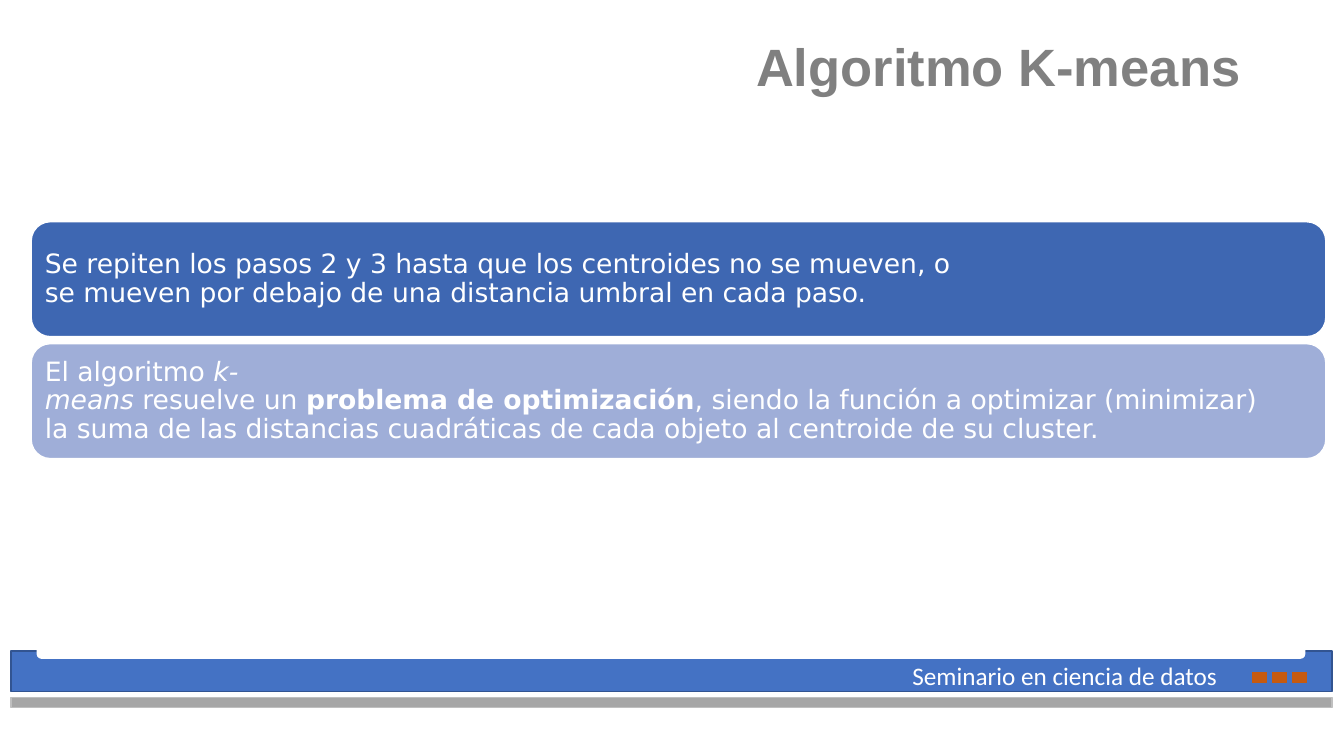
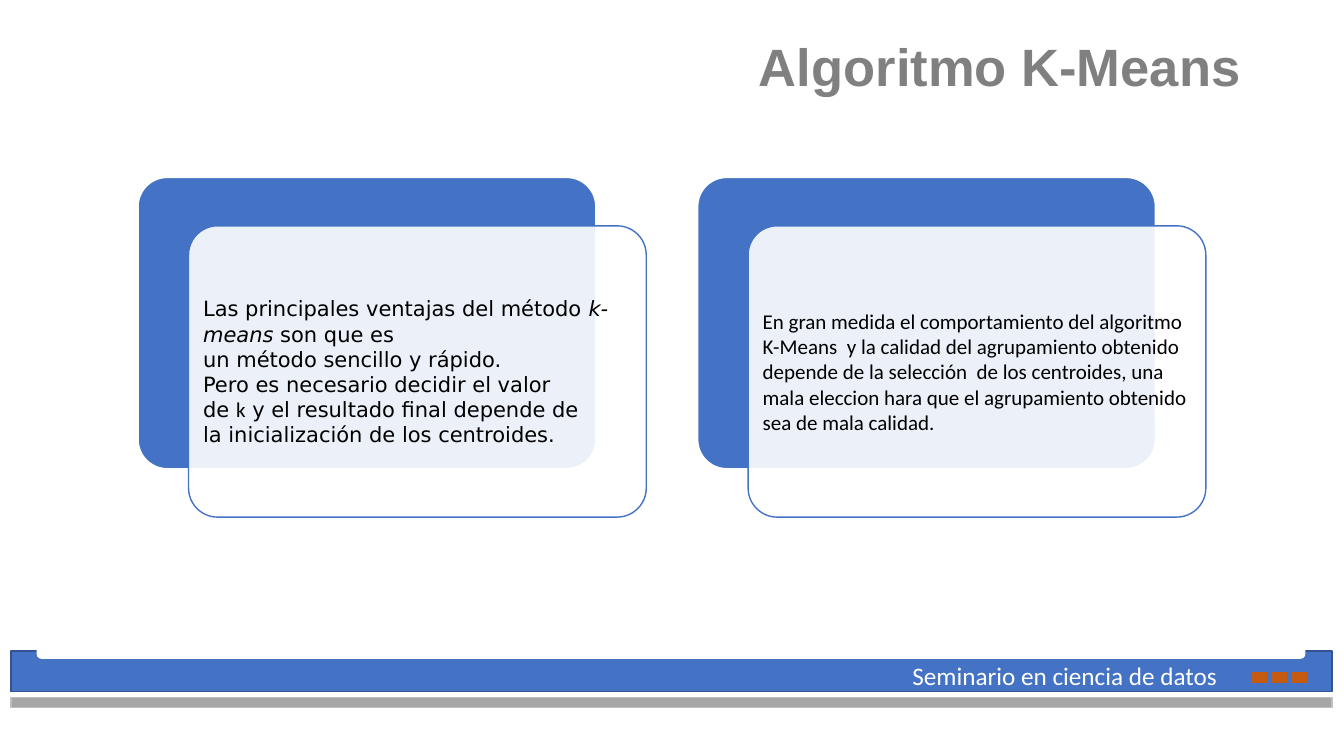
import pptx
import pptx.util
import pptx.dml.color
import pptx.enum.shapes
import pptx.enum.text
import pptx.oxml.ns
from lxml import etree

Inches = pptx.util.Inches
Pt = pptx.util.Pt
SHAPE = pptx.enum.shapes.MSO_SHAPE
ALIGN = pptx.enum.text.PP_ALIGN
ANCHOR = pptx.enum.text.MSO_ANCHOR

COLORS = {
    "white": "FFFFFF",
    "black": "000000",
    "title": "808080",
    "blue": "4472C4",
    "blue_edge": "325491",
    "deep_blue": "3E67B2",
    "pale_blue": "9FAED8",
    "gray": "A6A6A6",
    "gray_edge": "BFBFBF",
    "orange": "C55A11",
}
BODY_FONT = "DejaVu Sans"
PLAIN_FONT = "Calibri"
NBSP = chr(160)


def rgb(name):
    return pptx.dml.color.RGBColor.from_string(COLORS[name])


def add_run(p, text, size, color, font=BODY_FONT, bold=False, italic=False):
    r = p.add_run()
    r.text = text.replace("~", NBSP)
    r.font.name = font
    r.font.size = Pt(size)
    r.font.bold = bold
    r.font.italic = italic
    r.font.color.rgb = rgb(color)


def add_box(s, kind, left, top, width, height, fill, line, radius=None):
    sp = s.shapes.add_shape(kind, Inches(left), Inches(top), Inches(width), Inches(height))
    sp.shadow.inherit = False
    sp.fill.solid()
    sp.fill.fore_color.rgb = rgb(fill)
    sp.line.color.rgb = rgb(line)
    sp.line.width = Pt(1)
    if radius is not None:
        sp.adjustments[0] = radius
    return sp


def set_opacity(sp, percent):
    color = sp.fill._xPr.find(".//" + pptx.oxml.ns.qn("a:srgbClr"))
    etree.SubElement(color, pptx.oxml.ns.qn("a:alpha"), val=str(percent * 1000))


def fill_text(sp, runs, size, color, inset, spacing=1.0):
    tf = sp.text_frame
    tf.word_wrap = True
    tf.vertical_anchor = ANCHOR.MIDDLE
    tf.margin_left = tf.margin_right = Inches(inset)
    tf.margin_top = tf.margin_bottom = Inches(inset)
    p = tf.paragraphs[0]
    p.alignment = ALIGN.LEFT
    p.line_spacing = spacing
    for text, style in runs:
        add_run(p, text, size, color, **style)


def add_title(s, text):
    sp = s.shapes.title
    sp.left, sp.top = Inches(1.41), Inches(0.4)
    sp.width, sp.height = Inches(11), Inches(0.6)
    tf = sp.text_frame
    tf.auto_size = pptx.enum.text.MSO_AUTO_SIZE.NONE
    tf.vertical_anchor = ANCHOR.BOTTOM
    p = tf.paragraphs[0]
    p.alignment = ALIGN.RIGHT
    p.line_spacing = 0.7
    add_run(p, text, 37.5, "title", "Arial", bold=True)


def add_footer(s):
    add_box(s, SHAPE.RECTANGLE, 0.11, 6.46, 13.1, 0.4, "blue", "blue_edge")
    add_box(s, SHAPE.ROUNDED_RECTANGLE, 0.37, 6.27, 12.57, 0.26, "white", "white")
    add_box(s, SHAPE.RECTANGLE, 0.11, 6.92, 13.1, 0.1, "gray", "gray_edge")
    for i in range(3):
        add_box(s, SHAPE.RECTANGLE, 12.42 + 0.2 * i, 6.67, 0.14, 0.1, "orange", "orange")
    label = s.shapes.add_textbox(Inches(8.95), Inches(6.5), Inches(3.45), Inches(0.4))
    label.text_frame.word_wrap = True
    add_run(label.text_frame.paragraphs[0], "Seminario en ciencia de datos", 18, "white", PLAIN_FONT)


def add_slide(prs, title):
    s = prs.slides.add_slide(prs.slide_layouts[5])
    add_title(s, title)
    add_footer(s)
    return s


def add_bar(s, index, fill, runs):
    sp = add_box(s, SHAPE.ROUNDED_RECTANGLE, 0.31, 2.2 + 1.21 * index, 12.84, 1.14, fill, "white")
    fill_text(sp, runs, 19, "white", 0.08, spacing=0.9)


def add_card(s, index, runs):
    left, top, width, height = 1.37 + 5.55 * index, 1.76, 4.54, 2.89
    add_box(s, SHAPE.ROUNDED_RECTANGLE, left, top, width, height, "blue", "white", 0.1)
    front = add_box(s, SHAPE.ROUNDED_RECTANGLE, left + 0.5, top + 0.48, width, height,
                    "white", "blue", 0.1)
    set_opacity(front, 90)
    fill_text(front, runs, 15, "black", 0.06)


def build_steps(prs):
    s = add_slide(prs, "Algoritmo K-means")
    add_bar(s, 0, "deep_blue", [
        ("Se~repiten~los~pasos 2 y 3 hasta que~los~centroides~no se~mueven, o "
         "se~mueven~por~debajo~de~una~distancia~umbral~en~cada~paso.", {}),
    ])
    add_bar(s, 1, "pale_blue", [
        ("El~algoritmo~", {}),
        ("k-means~", {"italic": True}),
        ("resuelve~un~", {}),
        ("problema~de~optimización", {"bold": True}),
        (",~siendo~la~función~a~optimizar~(minimizar) la~suma~de "
         "las~distancias~cuadráticas~de~cada~objeto~al~centroide~de~su~cluster.", {}),
    ])


def build_pros_and_cons(prs):
    s = add_slide(prs, "Algoritmo K-Means")
    add_card(s, 0, [
        ("Las~principales~ventajas~del~método~", {}),
        ("k-means", {"italic": True}),
        ("~son que es un~método~sencillo~y~rápido. "
         "Pero~es~necesario~decidir~el~valor de~", {}),
        ("k", {"font": PLAIN_FONT}),
        ("~y~el~resultado~final~depende~de la~inicialización~de~los~centroides.~", {}),
    ])
    add_card(s, 1, [
        ("En gran medida el comportamiento del algoritmo K-Means~~y la calidad del "
         "agrupamiento~obtenido depende de la selección~~de los centroides, una mala "
         "eleccion~hara que el agrupamiento obtenido sea de mala calidad.",
         {"font": PLAIN_FONT}),
    ])


def main():
    prs = pptx.Presentation()
    prs.slide_width = Inches(13.33)
    prs.slide_height = Inches(7.5)
    build_steps(prs)
    build_pros_and_cons(prs)
    prs.save("out.pptx")


if __name__ == "__main__":
    main()
